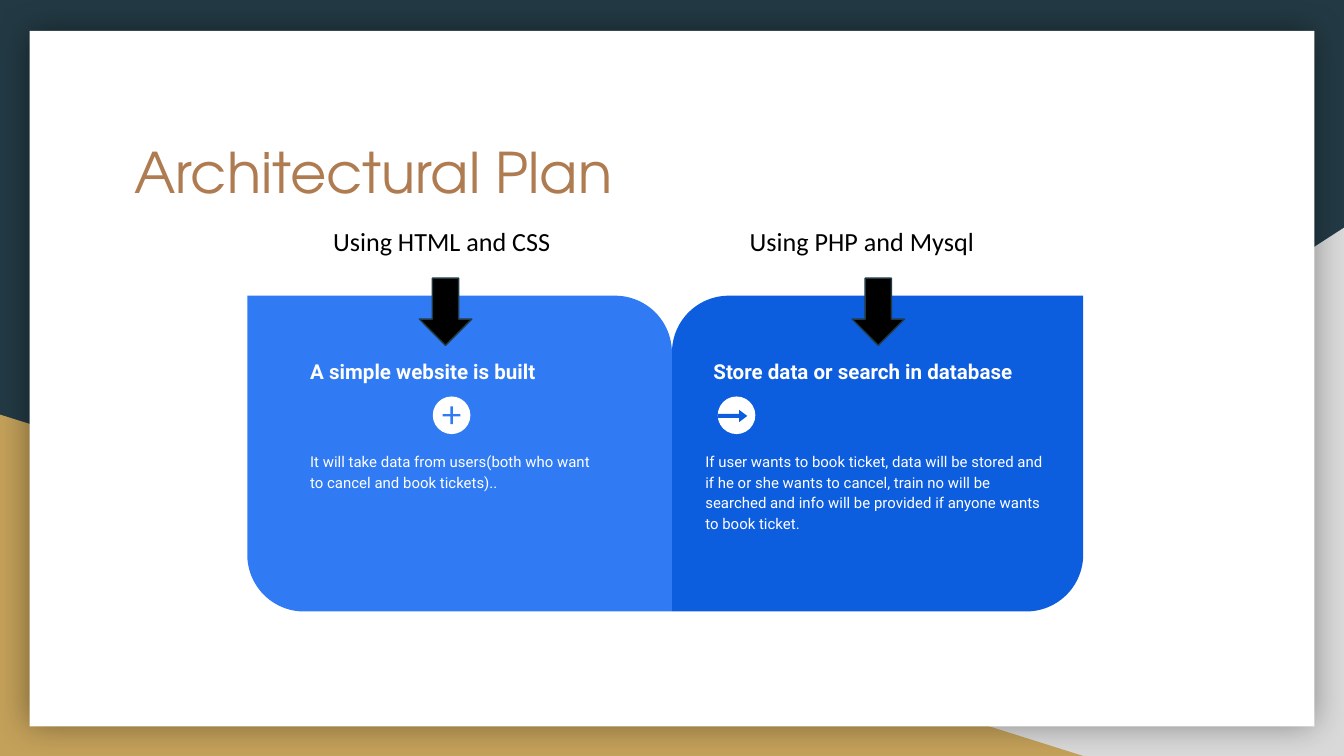
import lxml.etree
import pptx
import pptx.dml.color
import pptx.enum.shapes
import pptx.enum.text
import pptx.oxml.ns
import pptx.util

Inches = pptx.util.Inches
SHAPE = pptx.enum.shapes.MSO_SHAPE
ANCHOR = pptx.enum.text.MSO_ANCHOR
SLIDE_WIDTH = 10
SLIDE_HEIGHT = SLIDE_WIDTH * 9 / 16
COLORS = {
    "navy": "233A44", "gray": "D9D9D9", "gold": "C4A15A", "white": "FFFFFF",
    "bronze": "AF7B51", "light_blue": "307BF3", "dark_blue": "0D5DDF", "black": "000000",
}


def rgb(name):
    """Return the named palette colour."""
    return pptx.dml.color.RGBColor.from_string(COLORS[name])


def add_filled(shapes, preset, box, fill, line=None, adjustments=()):
    """Add a flat preset shape in a (left, top, width, height) box."""
    shape = shapes.add_shape(preset, *map(Inches, box))
    shape.shadow.inherit = False
    shape.fill.solid()
    shape.fill.fore_color.rgb = rgb(fill)
    if line:
        shape.line.color.rgb = rgb(line)
        shape.line.width = pptx.util.Pt(0.75)
    else:
        shape.line.fill.background()
    for index, value in enumerate(adjustments):
        shape.adjustments[index] = value
    return shape


def write_text(shape, text, font, size, color, bold=False, anchor=ANCHOR.TOP):
    """Fill a shape with one left-aligned, wrapped paragraph and return it."""
    frame = shape.text_frame
    frame.text = text
    frame.word_wrap = True
    frame.auto_size = pptx.enum.text.MSO_AUTO_SIZE.NONE
    frame.vertical_anchor = anchor
    frame.margin_left = frame.margin_right = Inches(0.1)
    frame.margin_top = frame.margin_bottom = Inches(0.1)
    paragraph = frame.paragraphs[0]
    paragraph.alignment = pptx.enum.text.PP_ALIGN.LEFT
    run_font = paragraph.runs[0].font
    run_font.name = font
    run_font.size = pptx.util.Pt(size)
    run_font.bold = bold
    run_font.color.rgb = rgb(color)
    return paragraph


def add_glow(shape, blur, opacity):
    """Give a shape a soft black shadow on all sides."""
    effects = shape.element.spPr.find(pptx.oxml.ns.qn("a:effectLst"))
    shadow = lxml.etree.SubElement(
        effects, pptx.oxml.ns.qn("a:outerShdw"),
        blurRad=str(pptx.util.Pt(blur)), dist="0", dir="0", algn="ctr", rotWithShape="0")
    color = lxml.etree.SubElement(shadow, pptx.oxml.ns.qn("a:srgbClr"), val=COLORS["black"])
    lxml.etree.SubElement(color, pptx.oxml.ns.qn("a:alpha"), val=str(opacity * 1000))


def add_backdrop(slide, width, height):
    """Draw the coloured corners and the white sheet."""
    slide.background.fill.solid()
    slide.background.fill.fore_color.rgb = rgb("navy")
    gray = add_filled(slide.shapes, SHAPE.RIGHT_TRIANGLE,
                      (width - 6.08, height - 3.93, 6.08, 3.93), "gray")
    gray.element.spPr.find(pptx.oxml.ns.qn("a:xfrm")).set("flipH", "1")
    add_filled(slide.shapes, SHAPE.RIGHT_TRIANGLE, (0, height - 2.54, 8.06, 2.54), "gold")
    sheet = add_filled(slide.shapes, SHAPE.RECTANGLE,
                       (0.22, 0.23, width - 0.44, height - 0.45), "white")
    add_glow(sheet, 18, 40)


def add_title(slide, box, text):
    """Place the title placeholder above the backdrop."""
    title = slide.shapes.title
    slide.shapes.element.append(title.element)
    title.left, title.top, title.width, title.height = map(Inches, box)
    write_text(title, text, "TeX Gyre Adventor", 30, "bronze")


def add_card(slide, box, fill, corners, heading, heading_inset, body, body_inset, text_width):
    """Draw a card with two rounded corners, a heading and a body text."""
    left, top, width, height = box
    shapes = slide.shapes.add_group_shape().shapes
    add_filled(shapes, SHAPE.ROUND_2_DIAG_RECTANGLE, box, fill, adjustments=corners)
    heading_box = shapes.add_textbox(
        *map(Inches, (left + heading_inset, top + 0.37, text_width, 0.69)))
    write_text(heading_box, heading, "Roboto", 11, "white", bold=True)
    body_box = shapes.add_textbox(
        *map(Inches, (left + body_inset, top + 1.05, text_width, 0.77)))
    paragraph = write_text(body_box, body, "Roboto", 8, "white")
    paragraph.line_spacing = 1.15
    paragraph.space_after = pptx.util.Pt(16)


def add_badge(slide, left, top, preset, symbol_box, color, adjustments):
    """Draw a white disc with a symbol placed relative to it."""
    shapes = slide.shapes.add_group_shape().shapes
    add_filled(shapes, SHAPE.OVAL, (left, top, 0.28, 0.28), "white")
    x, y, width, height = symbol_box
    add_filled(shapes, preset, (left + x, top + y, width, height), color,
               adjustments=adjustments)


def add_technology(slide, box, text, arrow_offset):
    """Draw a technology label with a block arrow below it."""
    left, top, width, height = box
    label = slide.shapes.add_textbox(*map(Inches, box))
    write_text(label, text, "Calibri", 14, "black", anchor=ANCHOR.MIDDLE)
    add_filled(slide.shapes, SHAPE.DOWN_ARROW,
               (left + arrow_offset, top + 0.5, 0.39, 0.5), "black", "navy")


def main():
    """Build and save the slide."""
    presentation = pptx.Presentation()
    presentation.slide_width = Inches(SLIDE_WIDTH)
    presentation.slide_height = Inches(SLIDE_HEIGHT)
    slide = presentation.slides.add_slide(presentation.slide_layouts[5])
    add_backdrop(slide, SLIDE_WIDTH, SLIDE_HEIGHT)
    add_title(slide, (0.9, 0.92, 8.21, 1.04), "Architectural Plan")
    add_card(slide, (5, 2.2, 3.06, 2.35), "dark_blue", (0.18, 0),
             "Store data or search in database", 0.21,
             "If user wants to book ticket, data will be stored and if he or she wants to "
             "cancel, train no will be searched and info will be provided if anyone wants "
             "to book ticket.", 0.15, 2.76)
    add_card(slide, (1.84, 2.2, 3.16, 2.35), "light_blue", (0, 0.18),
             "A simple website is built", 0.37,
             "It will take data from users(both who want to cancel and book tickets)..",
             0.37, 2.36)
    add_badge(slide, 5.34, 2.95, SHAPE.RIGHT_ARROW, (0, 0.1, 0.22, 0.09),
              "dark_blue", (0.32, 0.67))
    add_badge(slide, 3.22, 2.95, SHAPE.MATH_PLUS, (0.05, 0.05, 0.18, 0.18),
              "light_blue", (0.1,))
    add_technology(slide, (2.38, 1.57, 1.87, 0.44), "Using HTML and CSS", 0.74)
    add_technology(slide, (5.48, 1.57, 2.11, 0.44), "Using PHP and Mysql", 0.86)
    presentation.save("out.pptx")


if __name__ == "__main__":
    main()
